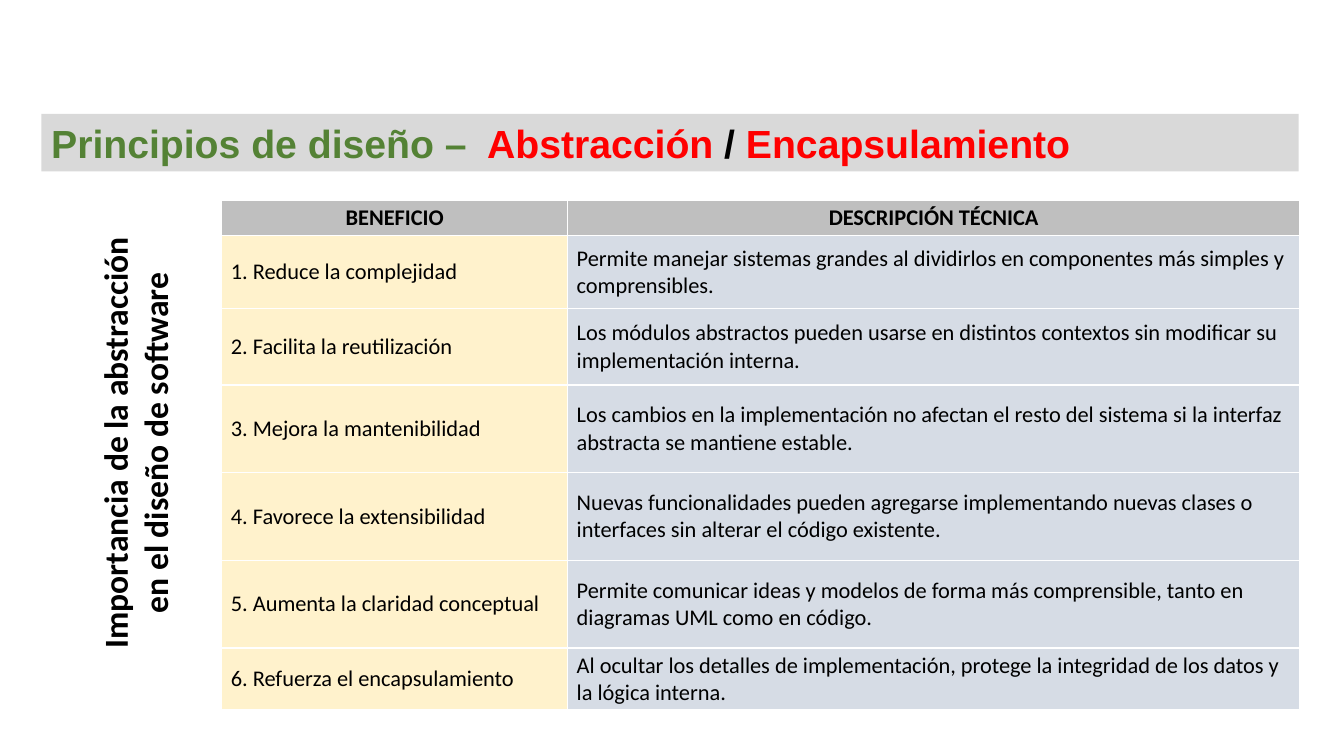
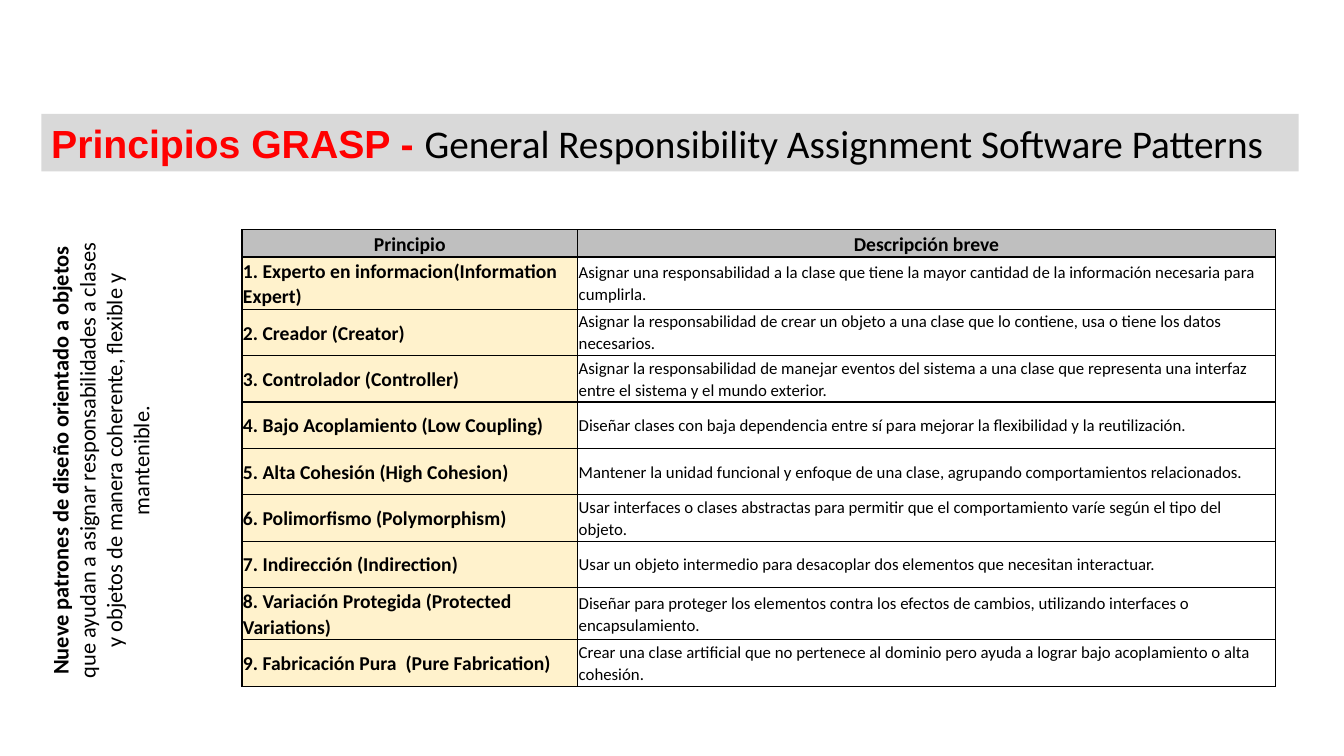
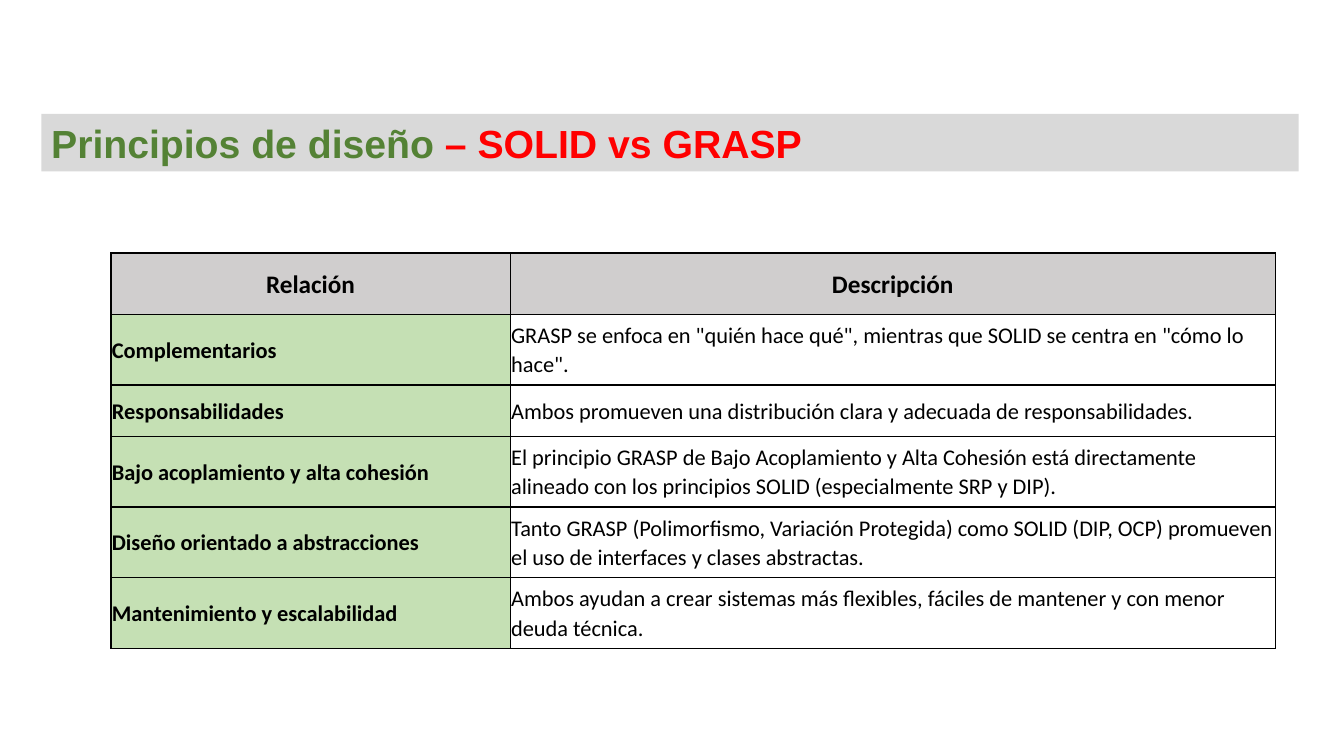
"""Build three slides on software design principles."""
from dataclasses import dataclass

from lxml.etree import SubElement
from pptx import Presentation
from pptx.dml.color import RGBColor
from pptx.enum.shapes import MSO_SHAPE
from pptx.enum.text import MSO_ANCHOR, MSO_AUTO_SIZE, PP_ALIGN
from pptx.oxml.ns import qn
from pptx.util import Inches, Pt


@dataclass(frozen=True)
class Theme:
    """Hold the shared colours, fonts and type sizes."""
    black: str = "000000"
    white: str = "FFFFFF"
    red: str = "FF0000"
    green: str = "548235"
    band: str = "D9D9D9"
    head: str = "BFBFBF"
    stone: str = "D0CECE"
    cream: str = "FFF2CC"
    mist: str = "D6DCE5"
    leaf: str = "C5E0B4"
    title: str = "Arial"
    body: str = "Calibri"
    huge: int = 28
    large: int = 24
    lead: int = 18
    text: int = 16
    small: int = 14
    tiny: int = 12


T = Theme()


@dataclass(frozen=True)
class Look:
    """Describe how one table is styled."""
    fills: tuple
    sizes: tuple
    bolds: tuple
    line: str = T.black
    pad: tuple = (0.01, 0.01)
    lead: float = 1.07


PLAIN = Look((T.head, T.cream, T.mist), (T.text,) * 3, (True, False, False),
             T.white, (0.09, 0.04), 1.0)
GRID = Look((T.head, T.cream, T.white), (T.small, T.small, T.tiny), (True, True, False))
LEAFY = Look((T.stone, T.leaf, T.white), (T.lead, T.text, T.text), (True, True, False))


def style(run, size, color=T.black, bold=False, face=T.body):
    """Format one run."""
    font = run.font
    font.size, font.bold, font.name = Pt(size), bold, face
    font.color.rgb = RGBColor.from_string(color)


def write(para, parts):
    """Fill a paragraph with text parts, each with its own format."""
    for text, form in parts:
        run = para.add_run()
        run.text = text
        style(run, **form)


def title(slide, *parts):
    """Draw the grey title band; each part is text, colour and optional font."""
    band = slide.shapes.add_shape(MSO_SHAPE.RECTANGLE, Inches(0.41), Inches(1.13),
                                  Inches(12.47), Inches(0.57))
    band.shadow.inherit = False
    band.fill.solid()
    band.fill.fore_color.rgb = RGBColor.from_string(T.band)
    band.line.fill.background()
    frame = band.text_frame
    frame.word_wrap = True
    frame.auto_size = MSO_AUTO_SIZE.SHAPE_TO_FIT_TEXT
    frame.vertical_anchor = MSO_ANCHOR.TOP
    para = frame.paragraphs[0]
    para.alignment = PP_ALIGN.LEFT
    write(para, [(text, dict(size=T.huge, color=color, face=face, bold=face == T.title))
                 for text, color, face in parts])


def side(slide, box, size, *parts):
    """Draw a centred text turned to read upwards."""
    shape = slide.shapes.add_textbox(*map(Inches, box))
    shape.rotation = 270
    frame = shape.text_frame
    frame.word_wrap = True
    frame.auto_size = MSO_AUTO_SIZE.SHAPE_TO_FIT_TEXT
    para = frame.paragraphs[0]
    para.alignment = PP_ALIGN.CENTER
    write(para, [(text, dict(size=size, bold=bold)) for text, bold in parts])


def border(cell, color):
    """Line all four edges of a cell."""
    props = cell._tc.get_or_add_tcPr()
    for edge in ("a:lnL", "a:lnR", "a:lnT", "a:lnB"):
        line = SubElement(props, qn(edge), w=str(Pt(1)))
        fill = SubElement(line, qn("a:solidFill"))
        SubElement(fill, qn("a:srgbClr"), val=color)


def paint(cell, text, look, kind):
    """Fill one cell; kind is 0 for head, 1 for label, 2 for detail."""
    border(cell, look.line)
    cell.fill.solid()
    cell.fill.fore_color.rgb = RGBColor.from_string(look.fills[kind])
    cell.vertical_anchor = MSO_ANCHOR.MIDDLE
    cell.margin_left = cell.margin_right = Inches(look.pad[0])
    cell.margin_top = cell.margin_bottom = Inches(look.pad[1])
    para = cell.text_frame.paragraphs[0]
    para.text = text
    para.alignment = PP_ALIGN.LEFT if kind else PP_ALIGN.CENTER
    para.line_spacing = look.lead
    style(para.runs[0], look.sizes[kind], bold=look.bolds[kind])


def grid(slide, spot, cols, highs, rows, look):
    """Draw a table with a head row and a label column."""
    size = (sum(cols), sum(highs))
    frame = slide.shapes.add_table(len(rows), len(cols), *map(Inches, spot + size))
    table = frame.table
    table.horz_banding = False
    for col, width in zip(table.columns, cols):
        col.width = Inches(width)
    for row, high in zip(table.rows, highs):
        row.height = Inches(high)
    for r, texts in enumerate(rows):
        for c, text in enumerate(texts):
            paint(table.cell(r, c), text, look, c + 1 if r else 0)


GAINS = (
    ("BENEFICIO", "DESCRIPCIÓN TÉCNICA"),
    ("1. Reduce la complejidad",
     "Permite manejar sistemas grandes al dividirlos en componentes más simples y comprensibles."),
    ("2. Facilita la reutilización",
     "Los módulos abstractos pueden usarse en distintos contextos sin modificar su "
     "implementación interna."),
    ("3. Mejora la mantenibilidad",
     "Los cambios en la implementación no afectan el resto del sistema si la interfaz "
     "abstracta se mantiene estable."),
    ("4. Favorece la extensibilidad",
     "Nuevas funcionalidades pueden agregarse implementando nuevas clases o interfaces "
     "sin alterar el código existente."),
    ("5. Aumenta la claridad conceptual",
     "Permite comunicar ideas y modelos de forma más comprensible, tanto en diagramas UML "
     "como en código."),
    ("6. Refuerza el encapsulamiento",
     "Al ocultar los detalles de implementación, protege la integridad de los datos y la "
     "lógica interna."),
)

GRASP = (
    ("Principio", "Descripción breve"),
    ("1. Experto en informacion(Information Expert)",
     "Asignar una responsabilidad a la clase que tiene la mayor cantidad de la información "
     "necesaria para cumplirla."),
    ("2. Creador (Creator)",
     "Asignar la responsabilidad de crear un objeto a una clase que lo contiene, usa o tiene "
     "los datos necesarios."),
    ("3. Controlador (Controller)",
     "Asignar la responsabilidad de manejar eventos del sistema a una clase que representa "
     "una interfaz entre el sistema y el mundo exterior."),
    ("4. Bajo Acoplamiento (Low Coupling)",
     "Diseñar clases con baja dependencia entre sí para mejorar la flexibilidad y la "
     "reutilización."),
    ("5. Alta Cohesión (High Cohesion)",
     "Mantener la unidad funcional y enfoque de una clase, agrupando comportamientos "
     "relacionados."),
    ("6. Polimorfismo (Polymorphism)",
     "Usar interfaces o clases abstractas para permitir que el comportamiento varíe según "
     "el tipo del objeto."),
    ("7. Indirección (Indirection)",
     "Usar un objeto intermedio para desacoplar dos elementos que necesitan interactuar."),
    ("8. Variación Protegida (Protected Variations)",
     "Diseñar para proteger los elementos contra los efectos de cambios, utilizando "
     "interfaces o encapsulamiento."),
    ("9. Fabricación Pura  (Pure Fabrication)",
     "Crear una clase artificial que no pertenece al dominio pero ayuda a lograr bajo "
     "acoplamiento o alta cohesión."),
)

LINKS = (
    ("Relación", "Descripción"),
    ("Complementarios",
     'GRASP se enfoca en "quién hace qué", mientras que SOLID se centra en "cómo lo hace".'),
    ("Responsabilidades",
     "Ambos promueven una distribución clara y adecuada de responsabilidades."),
    ("Bajo acoplamiento y alta cohesión",
     "El principio GRASP de Bajo Acoplamiento y Alta Cohesión está directamente alineado con "
     "los principios SOLID (especialmente SRP y DIP)."),
    ("Diseño orientado a abstracciones",
     "Tanto GRASP (Polimorfismo, Variación Protegida) como SOLID (DIP, OCP) promueven el uso "
     "de interfaces y clases abstractas."),
    ("Mantenimiento y escalabilidad",
     "Ambos ayudan a crear sistemas más flexibles, fáciles de mantener y con menor deuda "
     "técnica."),
)


def gains(slide):
    """Show the benefits of abstraction."""
    title(slide, ("Principios de diseño – ", T.green, T.title),
          (" Abstracción ", T.red, T.title), ("/", T.black, T.title),
          (" Encapsulamiento", T.red, T.title))
    side(slide, (-0.96, 3.94, 4.6, 0.91), T.large,
         ("Importancia de la abstracción en el diseño de software", True))
    grid(slide, (2.2, 1.99), (3.43, 7.26), (0.35, 0.72, 0.76, 0.87, 0.87, 0.87, 0.61),
         GAINS, PLAIN)


def grasp(slide):
    """Show the nine GRASP principles."""
    title(slide, ("Principios GRASP - ", T.red, T.title),
          ("General Responsibility Assignment Software Patterns", T.black, T.body))
    side(slide, (-1.29, 3.98, 4.58, 1.18), T.text,
         ("Nueve patrones de diseño orientado a objetos ", True),
         ("que ayudan a asignar responsabilidades a clases y objetos de manera coherente, "
          "flexible y mantenible.", False))
    grid(slide, (2.4, 2.28), (3.33, 6.92), (0.24,) + (0.46,) * 9, GRASP, GRID)


def links(slide):
    """Compare SOLID with GRASP."""
    title(slide, ("Principios de diseño ", T.green, T.title),
          ("– SOLID vs GRASP", T.red, T.title))
    grid(slide, (1.1, 2.51), (3.96, 7.59), (0.61, 0.7, 0.51, 0.7, 0.7, 0.7), LINKS, LEAFY)


def main():
    """Build and save the deck."""
    deck = Presentation()
    deck.slide_width, deck.slide_height = Inches(13.33), Inches(7.5)
    for build in (gains, grasp, links):
        build(deck.slides.add_slide(deck.slide_layouts[6]))
    deck.save("out.pptx")


if __name__ == "__main__":
    main()
